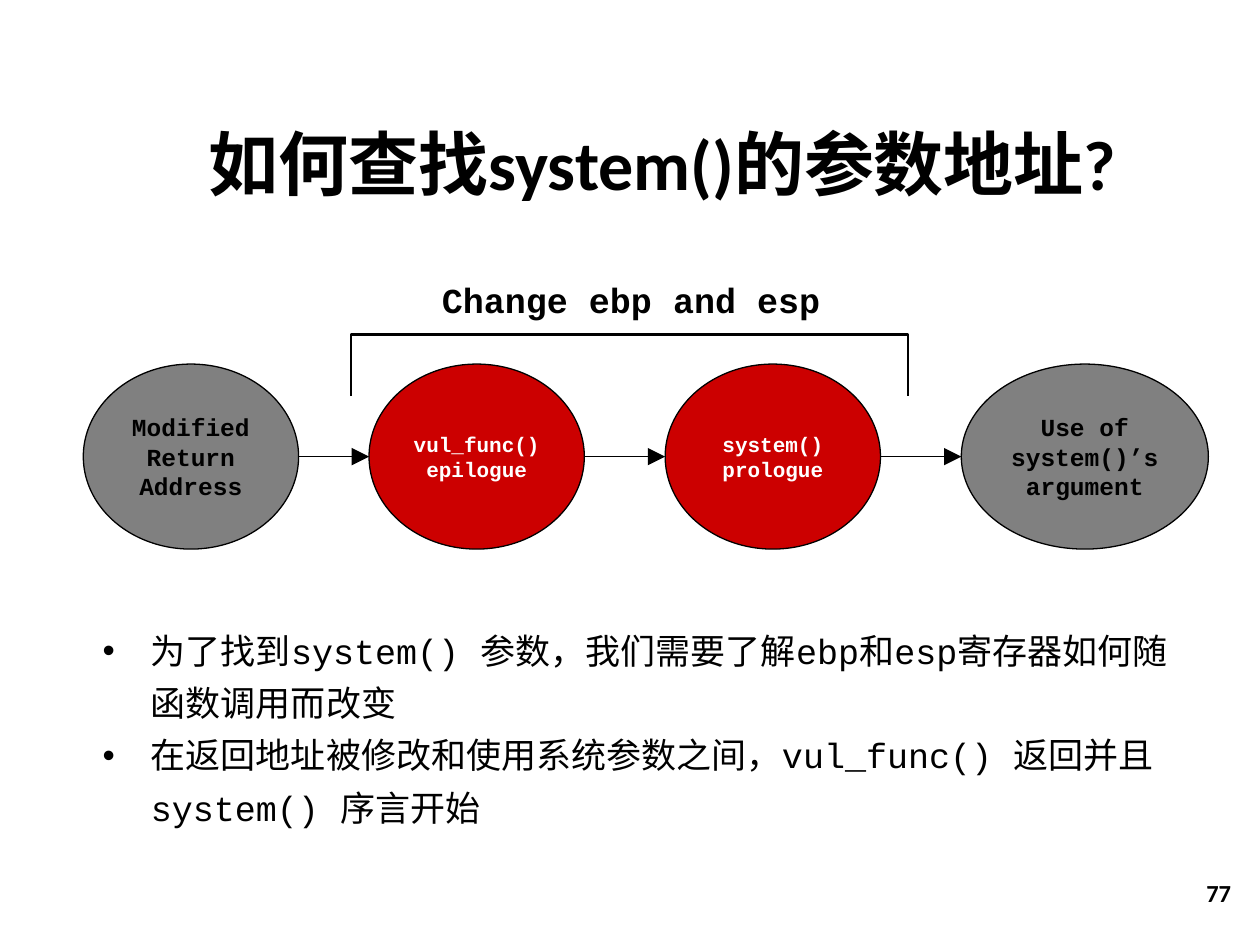
"""Build the slide on locating the argument address of system()."""
from dataclasses import dataclass
from itertools import pairwise

from lxml import etree
from pptx import Presentation
from pptx import util as u
from pptx.dml.color import RGBColor
from pptx.enum import shapes, text
from pptx.oxml.ns import qn


@dataclass(frozen=True)
class Theme:
    ink: str = "000000"
    paper: str = "FFFFFF"
    grey: str = "808080"
    red: str = "CC0000"
    sans: str = "Calibri"
    mono: str = "Courier New"
    title: int = 40
    body: int = 20
    outer: int = 14
    inner: int = 12
    thin: float = 0.75
    thick: float = 1.5


@dataclass(frozen=True)
class Box:
    left: float
    top: float
    width: float
    height: float

    def emu(self) -> list[u.Cm]:
        return [u.Cm(v) for v in (self.left, self.top, self.width, self.height)]


@dataclass(frozen=True)
class Style:
    size: int
    font: str = Theme.mono
    color: str = Theme.ink
    bold: bool = True
    align: text.PP_ALIGN = text.PP_ALIGN.CENTER
    anchor: text.MSO_ANCHOR = text.MSO_ANCHOR.TOP
    bullet: str = ""


@dataclass(frozen=True)
class Step:
    label: str
    left: float
    width: float
    fill: str
    style: Style

    @property
    def right(self) -> float:
        return self.left + self.width


THEME = Theme()
STEP_TOP, STEP_HEIGHT, STEP_WIDTH = 7.34, 3.73, 4.34
OUTER = Style(THEME.outer, anchor=text.MSO_ANCHOR.MIDDLE)
INNER = Style(THEME.inner, color=THEME.paper, anchor=text.MSO_ANCHOR.MIDDLE)
STEPS = [
    Step("Modified Return Address", 1.68, STEP_WIDTH, THEME.grey, OUTER),
    Step("vul_func() epilogue", 7.44, STEP_WIDTH, THEME.red, INNER),
    Step("system() prologue", 13.41, STEP_WIDTH, THEME.red, INNER),
    Step("Use of system()’s argument", 19.38, 4.98, THEME.grey, OUTER),
]
POINTS = [
    "为了找到system() 参数，我们需要了解ebp和esp寄存器如何随函数调用而改变",
    "在返回地址被修改和使用系统参数之间，vul_func() 返回并且system() 序言开始",
]


def apply(target, values: dict) -> None:
    """Set each named attribute on the target."""
    for name, value in values.items():
        setattr(target, name, value)


def outline(line, width: float) -> None:
    """Give a line the ink colour and a width in points."""
    line.color.rgb = RGBColor.from_string(THEME.ink)
    line.width = u.Pt(width)


def write(frame, lines: list[str], style: Style) -> None:
    """Fill a text frame with styled paragraphs."""
    inset = u.Cm(0.25)
    apply(frame, dict(word_wrap=True, vertical_anchor=style.anchor,
                      margin_left=inset, margin_right=inset,
                      margin_top=inset, margin_bottom=inset))
    for index, line in enumerate(lines):
        paragraph = frame.add_paragraph() if index else frame.paragraphs[0]
        paragraph.alignment = style.align
        if style.bullet:
            props = paragraph._p.get_or_add_pPr()
            apply_indent = {"marL": u.Cm(1.27), "indent": u.Cm(-0.97)}
            for name, value in apply_indent.items():
                props.set(name, str(int(value)))
            etree.SubElement(props, qn("a:buFont"), typeface="Arial")
            etree.SubElement(props, qn("a:buChar"), char=style.bullet)
            paragraph.line_spacing = 1.25
        run = paragraph.add_run()
        run.text = line
        apply(run.font, dict(name=style.font, size=u.Pt(style.size), bold=style.bold))
        run.font.color.rgb = RGBColor.from_string(style.color)


def add_text(slide, box: Box, lines: list[str], style: Style) -> None:
    """Place a text box."""
    write(slide.shapes.add_textbox(*box.emu()).text_frame, lines, style)


def add_step(slide, step: Step) -> None:
    """Draw one stage of the call sequence."""
    box = Box(step.left, STEP_TOP, step.width, STEP_HEIGHT)
    oval = slide.shapes.add_shape(shapes.MSO_SHAPE.OVAL, *box.emu())
    oval.shadow.inherit = False
    oval.fill.solid()
    oval.fill.fore_color.rgb = RGBColor.from_string(step.fill)
    outline(oval.line, THEME.thin)
    write(oval.text_frame, [step.label], step.style)


def add_arrow(slide, start: Step, end: Step) -> None:
    """Join two neighbouring stages with an arrow."""
    middle = u.Cm(STEP_TOP + STEP_HEIGHT / 2)
    arrow = slide.shapes.add_connector(
        shapes.MSO_CONNECTOR.STRAIGHT, u.Cm(start.right), middle, u.Cm(end.left), middle)
    outline(arrow.line, THEME.thin)
    etree.SubElement(arrow.line._get_or_add_ln(), qn("a:tailEnd"),
                     type="triangle", w="lg", len="lg")
    etree.SubElement(arrow._element.spPr, qn("a:effectLst"))


def add_bracket(slide, box: Box) -> None:
    """Draw the square bracket over the inner stages."""
    bracket = slide.shapes.add_shape(shapes.MSO_SHAPE.LEFT_BRACKET, *box.emu())
    bracket.shadow.inherit = False
    bracket.adjustments[0] = 0
    bracket.rotation = 90
    bracket.fill.background()
    outline(bracket.line, THEME.thick)


def main() -> None:
    """Assemble and save the slide."""
    deck = Presentation()
    apply(deck, dict(slide_width=u.Cm(25.4), slide_height=u.Cm(19.05)))
    slide = deck.slides.add_slide(deck.slide_layouts[6])
    add_text(slide, Box(1.52, 2.18, 23.67, 1.6), ["如何查找system()的参数地址?"],
             Style(THEME.title, THEME.sans))
    for step in STEPS:
        add_step(slide, step)
    for start, end in pairwise(STEPS):
        add_arrow(slide, start, end)
    add_text(slide, Box(1.52, 12.22, 22.35, 3.73), POINTS,
             Style(THEME.body, bold=False, align=text.PP_ALIGN.LEFT, bullet="•"))
    add_bracket(slide, Box(12.07, 1.75, 1.24, 11.23))
    add_text(slide, Box(7.11, 5.36, 11.23, 1.24), ["Change ebp and esp"], Style(THEME.body))
    add_text(slide, Box(23.55, 17.27, 1.52, 1.45), ["77"],
             Style(THEME.outer, THEME.sans, align=text.PP_ALIGN.RIGHT,
                   anchor=text.MSO_ANCHOR.MIDDLE))
    deck.save("out.pptx")


if __name__ == "__main__":
    main()
